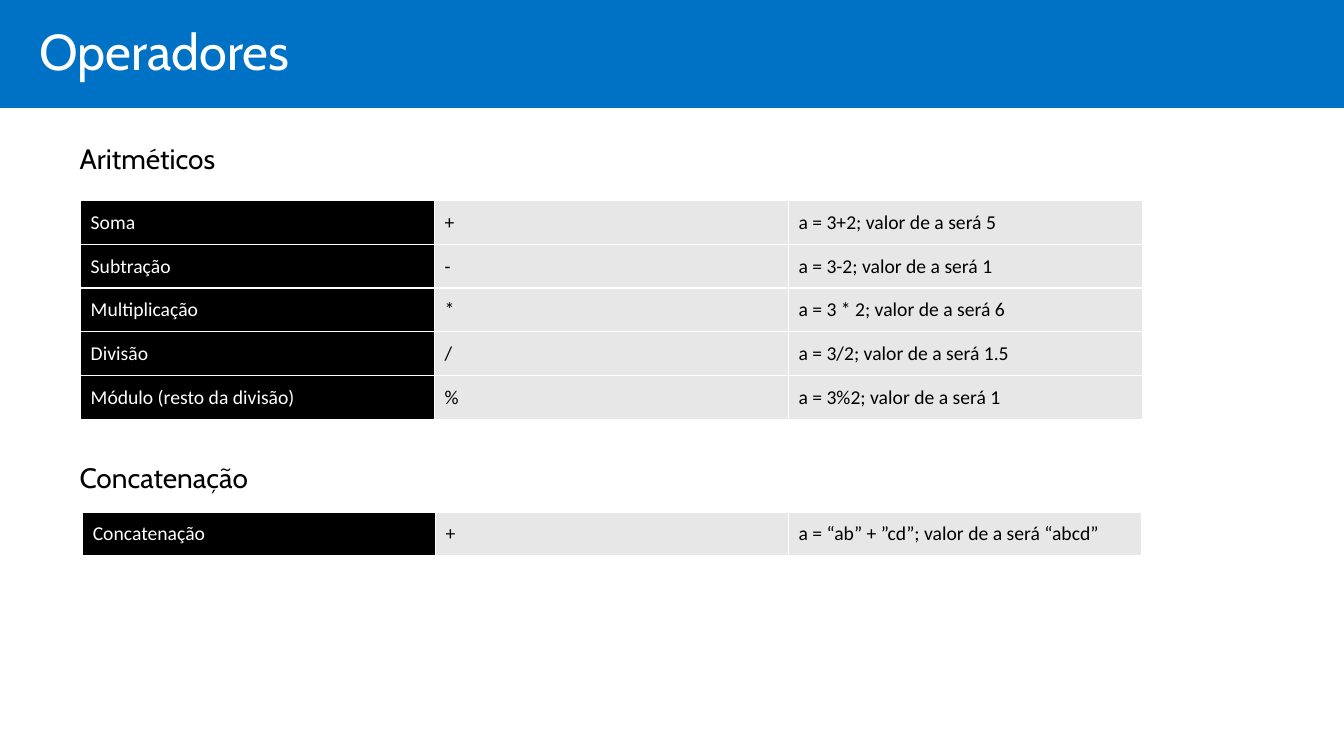
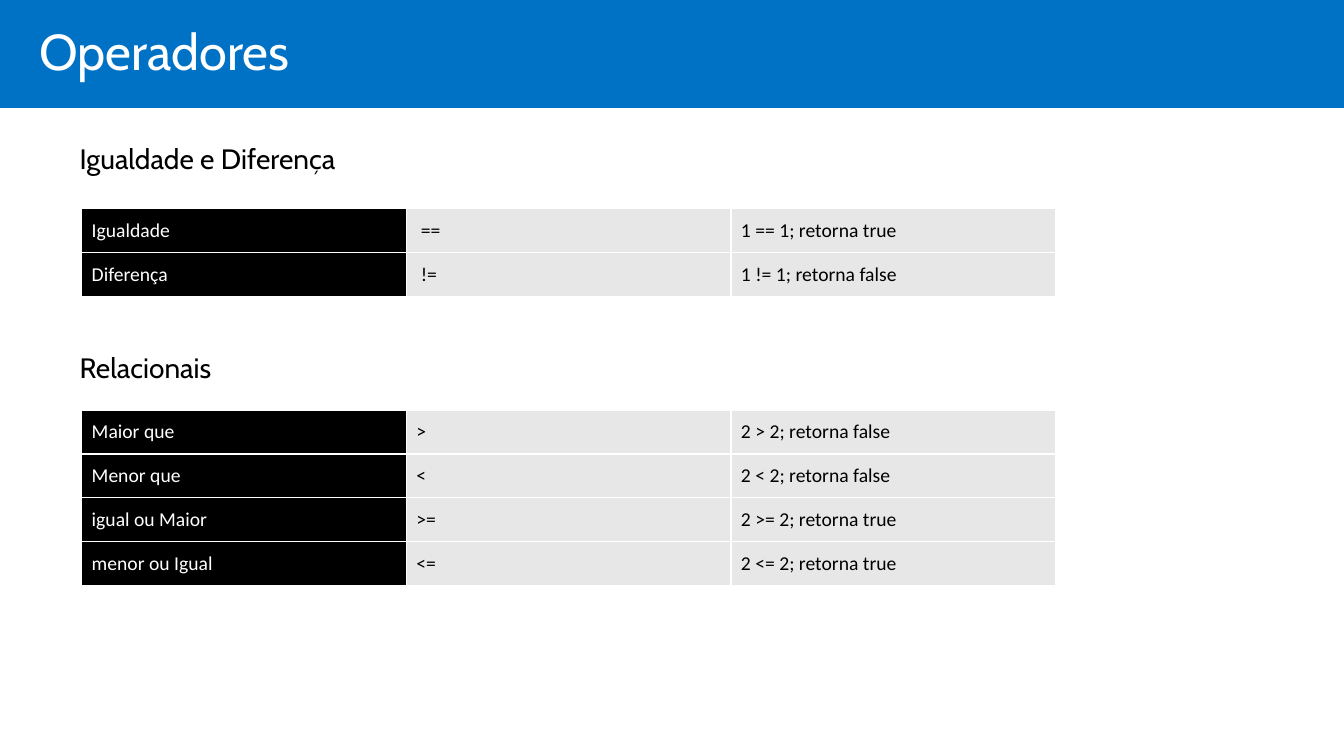
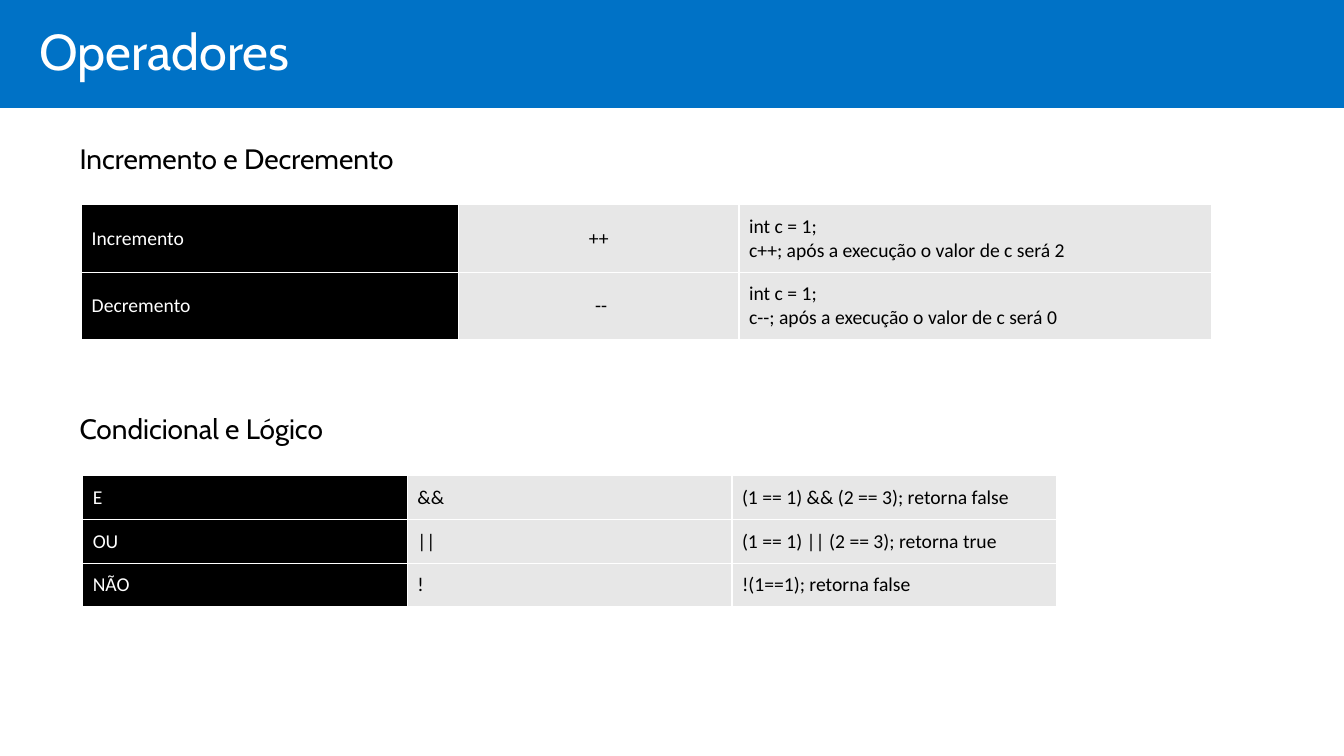
from lxml import etree
from pptx import Presentation
from pptx.dml.color import RGBColor
from pptx.enum import shapes, text
from pptx.oxml import ns
from pptx.util import Inches, Pt

COLORS = {"band": "0072C6", "white": "FFFFFF", "black": "000000", "cell": "E7E7E7"}
TITLE_FONT, TABLE_FONT = "Cabin", "Calibri"
SLIDE_WIDTH = 13.33
ROW_HEIGHT = 0.43
THIRDS_WIDE, THIRDS_NARROW = [3.5] * 3, [3.22] * 3

ARITHMETIC = [
    ("Soma", "+", "a = 3+2; valor de a será 5"),
    ("Subtração", "-", "a = 3-2; valor de a será 1"),
    ("Multiplicação", "*", "a = 3 * 2; valor de a será 6"),
    ("Divisão", "/", "a = 3/2; valor de a será 1.5"),
    ("Módulo (resto da divisão)", "%", "a = 3%2; valor de a será 1"),
]
CONCATENATION = [("Concatenação", "+", "a = “ab” + ”cd”; valor de a será “abcd”")]
EQUALITY = [
    ("Igualdade", " ==", "1 == 1; retorna true"),
    ("Diferença", " !=", "1 != 1; retorna false"),
]
RELATIONAL = [
    ("Maior que", ">", "2 > 2; retorna false"),
    ("Menor que", "<", "2 < 2; retorna false"),
    ("igual ou Maior", ">=", "2 >= 2; retorna true"),
    ("menor ou Igual", "<=", "2 <= 2; retorna true"),
]
INCREMENT = [
    ("Incremento", "++", "int c = 1;\nc++; após a execução o valor de c será 2"),
    ("Decremento", " --", "int c = 1;\nc--; após a execução o valor de c será 0"),
]
LOGICAL = [
    ("E", "&&", "(1 == 1) && (2 == 3); retorna false"),
    ("OU", "||", "(1 == 1) || (2 == 3); retorna true"),
    ("NÃO", "!", "!(1==1); retorna false"),
]


def rgb(name):
    return RGBColor.from_string(COLORS[name])


def style_paragraph(paragraph, font, size, color, align=text.PP_ALIGN.LEFT):
    paragraph.alignment = align
    paragraph.font.name = font
    paragraph.font.size = Pt(size)
    paragraph.font.color.rgb = rgb(color)


def set_heading_text(shape, words, indent, size, color, spacing):
    frame = shape.text_frame
    frame.word_wrap = True
    frame.vertical_anchor = text.MSO_ANCHOR.MIDDLE
    frame.margin_left = Inches(indent)
    frame.margin_top = frame.margin_right = frame.margin_bottom = 0
    frame.text = words
    paragraph = frame.paragraphs[0]
    paragraph.line_spacing = spacing
    style_paragraph(paragraph, TITLE_FONT, size, color)


def add_title_band(slide, title):
    band = slide.shapes.add_shape(
        shapes.MSO_SHAPE.RECTANGLE, 0, 0, Inches(SLIDE_WIDTH), Inches(1.07))
    band.shadow.inherit = False
    band.fill.solid()
    band.fill.fore_color.rgb = rgb("band")
    band.line.fill.background()
    set_heading_text(band, title, 0.39, 36, "white", 0.9)


def add_section_heading(slide, heading, top):
    box = slide.shapes.add_textbox(0, Inches(top), Inches(12.96), Inches(0.76))
    set_heading_text(box, heading, 0.79, 20, "black", 1.2)


def add_cell_borders(cell):
    properties = cell._tc.get_or_add_tcPr()
    for position, side in enumerate(("lnL", "lnR", "lnT", "lnB")):
        border = etree.Element(ns.qn(f"a:{side}"), w=str(Pt(1)))
        fill = etree.SubElement(border, ns.qn("a:solidFill"))
        etree.SubElement(fill, ns.qn("a:srgbClr"), val=COLORS["white"])
        properties.insert(position, border)


def fill_cell(cell, words, is_label, align, anchor):
    cell.text = words
    cell.vertical_anchor = anchor
    cell.margin_left = cell.margin_right = Inches(0.1)
    cell.margin_top = cell.margin_bottom = Inches(0.1)
    cell.fill.solid()
    cell.fill.fore_color.rgb = rgb("black" if is_label else "cell")
    add_cell_borders(cell)
    for paragraph in cell.text_frame.paragraphs:
        style_paragraph(paragraph, TABLE_FONT, 14, "white" if is_label else "black", align)


def add_operator_table(slide, rows, left, top, widths, row_height=ROW_HEIGHT, centered=False):
    """Rows of name, symbol and example; centered puts the symbols mid-cell."""
    table = slide.shapes.add_table(
        len(rows), len(widths), Inches(left), Inches(top),
        Inches(sum(widths)), Inches(row_height * len(rows))).table
    table.first_row = table.horz_banding = False
    for column, width in zip(table.columns, widths):
        column.width = Inches(width)
    for r, row in enumerate(rows):
        table.rows[r].height = Inches(row_height)
        for c, words in enumerate(row):
            align = text.PP_ALIGN.CENTER if centered and c == 1 else text.PP_ALIGN.LEFT
            anchor = text.MSO_ANCHOR.MIDDLE if centered and c < 2 else text.MSO_ANCHOR.TOP
            fill_cell(table.cell(r, c), words, c == 0, align, anchor)


def add_operators_slide(deck, headings):
    slide = deck.slides.add_slide(deck.slide_layouts[6])
    add_title_band(slide, "Operadores")
    for heading, top in headings:
        add_section_heading(slide, heading, top)
    return slide


def main():
    deck = Presentation()
    deck.slide_width, deck.slide_height = Inches(SLIDE_WIDTH), Inches(7.5)

    slide = add_operators_slide(deck, [("Aritméticos", 1.16), ("Concatenação", 4.32)])
    add_operator_table(slide, ARITHMETIC, 0.8, 1.99, [3.51] * 3)
    add_operator_table(slide, CONCATENATION, 0.82, 5.08, THIRDS_WIDE)

    slide = add_operators_slide(deck, [("Igualdade e Diferença", 1.16), ("Relacionais", 3.23)])
    add_operator_table(slide, EQUALITY, 0.81, 2.07, THIRDS_NARROW)
    add_operator_table(slide, RELATIONAL, 0.81, 4.07, THIRDS_NARROW)

    slide = add_operators_slide(
        deck, [("Incremento e Decremento", 1.16), ("Condicional e Lógico", 3.84)])
    add_operator_table(slide, INCREMENT, 0.81, 2.03, [3.74, 2.78, 4.69], 0.67, centered=True)
    add_operator_table(slide, LOGICAL, 0.82, 4.72, THIRDS_NARROW)

    deck.save("out.pptx")


if __name__ == "__main__":
    main()
